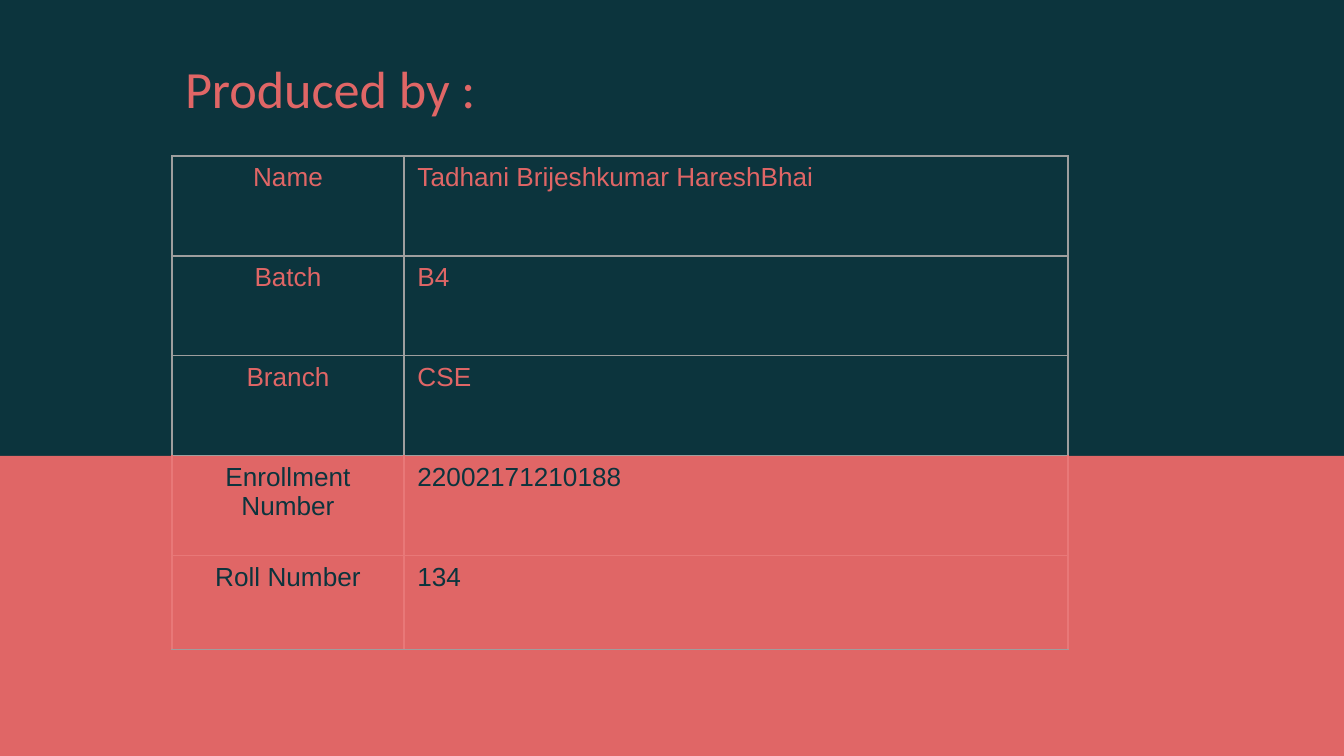
from pptx import Presentation
from pptx.dml.color import RGBColor
from pptx.enum.shapes import MSO_SHAPE
from pptx.enum.text import MSO_ANCHOR, PP_ALIGN
from pptx.oxml.ns import qn
from pptx.util import Emu, Pt
from lxml import etree

RECT = MSO_SHAPE.RECTANGLE
TOP = MSO_ANCHOR.TOP
LEFT, CENTER = PP_ALIGN.LEFT, PP_ALIGN.CENTER

TITLE = "Produced by :"
ROWS = [
    ("Name", "Tadhani Brijeshkumar HareshBhai"),
    ("Batch", "B4"),
    ("Branch", "CSE"),
    ("Enrollment Number", "22002171210188"),
    ("Roll Number", "134"),
]

THEME = {
    "dark": "0C343D",
    "coral": "E06666",
    "border": "9E9E9E",
    "soft_border": "E87878",
    "title_font": "Calibri",
    "title_size": 28,
    "body_font": "Arial",
    "body_size": 14,
    "border_width": 0.75,
}

SLIDE_W, SLIDE_H = 1344, 756
BAND_TOP = 456
TABLE_LEFT, TABLE_TOP = 172, 156
COL_WIDTHS = [232, 664]
ROW_HEIGHTS = [100] * 4 + [94]
DARK_ROWS = 3


def px(n):
    return Emu(round(n * 9144000 / SLIDE_W))


def color(name):
    return RGBColor.from_string(THEME[name])


def add_run(p, text, kind, fill):
    r = p.add_run()
    r.text = text
    r.font.name = THEME[kind + "_font"]
    r.font.size = Pt(THEME[kind + "_size"])
    r.font.color.rgb = color(fill)


def set_border(cell, side, name):
    tc_pr = cell._tc.get_or_add_tcPr()
    ln = etree.SubElement(tc_pr, qn("a:ln" + side), w=str(Pt(THEME["border_width"])))
    fill = etree.SubElement(ln, qn("a:solidFill"))
    etree.SubElement(fill, qn("a:srgbClr"), val=THEME[name])


def add_band(s):
    band = s.shapes.add_shape(RECT, 0, px(BAND_TOP), px(SLIDE_W), px(SLIDE_H - BAND_TOP))
    band.shadow.inherit = False
    band.fill.solid()
    band.fill.fore_color.rgb = color("coral")
    band.line.fill.background()


def set_title(s):
    title = s.shapes.title
    title.left, title.top = px(TABLE_LEFT), px(46)
    title.width, title.height = px(683), px(77)
    tf = title.text_frame
    tf.word_wrap = True
    tf.vertical_anchor = TOP
    tf.margin_left = tf.margin_right = px(13)
    tf.margin_top = tf.margin_bottom = px(10)
    p = tf.paragraphs[0]
    p.alignment = LEFT
    add_run(p, TITLE, "title", "coral")


def add_details(s):
    table = s.shapes.add_table(
        len(ROWS), len(COL_WIDTHS), px(TABLE_LEFT), px(TABLE_TOP),
        px(sum(COL_WIDTHS)), px(sum(ROW_HEIGHTS))).table
    table.first_row = table.horz_banding = False
    for col, width in zip(table.columns, COL_WIDTHS):
        col.width = px(width)
    for i, (row, height) in enumerate(zip(table.rows, ROW_HEIGHTS)):
        row.height = px(height)
        on_dark = i < DARK_ROWS
        edge = "border" if on_dark else "soft_border"
        top = "border" if i <= DARK_ROWS else "soft_border"
        bottom = "border" if on_dark or i == len(ROWS) - 1 else "soft_border"
        for cell, text, align in zip(row.cells, ROWS[i], (CENTER, LEFT)):
            for side, name in zip("LRTB", (edge, edge, top, bottom)):
                set_border(cell, side, name)
            cell.fill.background()
            p = cell.text_frame.paragraphs[0]
            p.alignment = align
            add_run(p, text, "body", "coral" if on_dark else "dark")


def main():
    prs = Presentation()
    prs.slide_width, prs.slide_height = px(SLIDE_W), px(SLIDE_H)
    s = prs.slides.add_slide(prs.slide_layouts[5])
    s.background.fill.solid()
    s.background.fill.fore_color.rgb = color("dark")
    add_band(s)
    set_title(s)
    add_details(s)
    prs.save("out.pptx")


if __name__ == "__main__":
    main()
